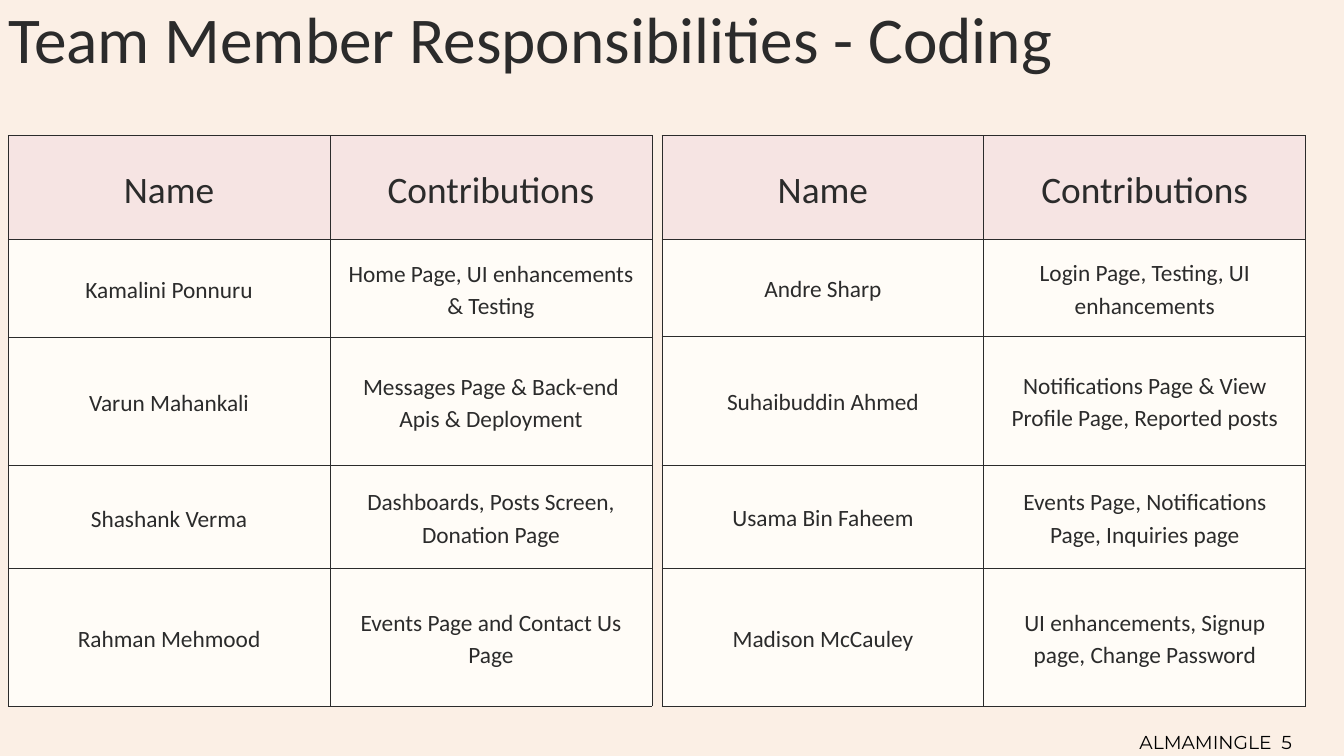
from lxml import etree
from pptx import Presentation
from pptx.dml.color import RGBColor
from pptx.enum.text import MSO_ANCHOR, PP_ALIGN
from pptx.oxml.ns import qn
from pptx.util import Inches, Pt

CENTER, LEFT = PP_ALIGN.CENTER, PP_ALIGN.LEFT
TOP, MIDDLE = MSO_ANCHOR.TOP, MSO_ANCHOR.MIDDLE

INK = RGBColor(0x2B, 0x2B, 0x2B)
BLACK = RGBColor(0, 0, 0)
CREAM = RGBColor(0xFB, 0xEF, 0xE5)
PINK = RGBColor(0xF6, 0xE4, 0xE3)
IVORY = RGBColor(0xFF, 0xFC, 0xF7)

TITLE = {"name": "Calibri", "size": Pt(70), "bold": False}
HEADER = {"name": "Calibri", "size": Pt(40), "bold": False}
BODY = {"name": "Calibri", "size": Pt(25), "bold": False}
FOOTER = {"name": "Montserrat", "size": Pt(20), "bold": False}

TABLE_TOP, COLUMN_WIDTH = 2.02, 4.79
HEADINGS = ("Name", "Contributions")
LEFT_TEAM = [
    ("Kamalini Ponnuru", "Home Page, UI enhancements & Testing"),
    ("Varun Mahankali", "Messages Page & Back-end Apis & Deployment"),
    ("Shashank Verma", "Dashboards, Posts Screen, Donation Page"),
    ("Rahman Mehmood", "Events Page and Contact Us Page"),
]
RIGHT_TEAM = [
    ("Andre Sharp", "Login Page, Testing, UI enhancements"),
    ("Suhaibuddin Ahmed",
     "Notifications Page & View Profile Page, Reported posts"),
    ("Usama Bin Faheem", "Events Page, Notifications Page, Inquiries page"),
    ("Madison McCauley", "UI enhancements, Signup page, Change Password"),
]


def write(frame, text, style, color, spacing, align):
    """Put one formatted paragraph in a text frame."""
    para = frame.paragraphs[0]
    para.alignment = align
    para.line_spacing = Pt(spacing)
    span = para.add_run()
    span.text = text
    for name, value in style.items():
        setattr(span.font, name, value)
    span.font.color.rgb = color


def set_margins(target, inches):
    for side in ("left", "right", "top", "bottom"):
        setattr(target, f"margin_{side}", Inches(inches))


def add_borders(cell):
    properties = cell._tc.get_or_add_tcPr()
    for side in ("lnL", "lnR", "lnT", "lnB"):
        line = etree.SubElement(properties, qn(f"a:{side}"), w=str(Pt(0.75)))
        fill = etree.SubElement(line, qn("a:solidFill"))
        etree.SubElement(fill, qn("a:srgbClr"), val=str(INK))


def add_team_table(page, left, heights, members):
    rows = [HEADINGS, *members]
    table = page.shapes.add_table(
        len(rows), len(HEADINGS), Inches(left), Inches(TABLE_TOP),
        Inches(COLUMN_WIDTH * len(HEADINGS)), Inches(sum(heights))).table
    table.first_row = table.horz_banding = False
    for column in table.columns:
        column.width = Inches(COLUMN_WIDTH)
    for index, (height, texts) in enumerate(zip(heights, rows)):
        table.rows[index].height = Inches(height)
        style, spacing, color = (BODY, 35, IVORY) if index else (HEADER, 56, PINK)
        for cell, text in zip(table.rows[index].cells, texts):
            set_margins(cell, 0.21)
            cell.vertical_anchor = MIDDLE
            add_borders(cell)
            cell.fill.solid()
            cell.fill.fore_color.rgb = color
            write(cell.text_frame, text, style, INK, spacing, CENTER)


def add_footer(page, left, width, text):
    box = page.shapes.add_textbox(
        Inches(left), Inches(10.93), Inches(width), Inches(0.3))
    frame = box.text_frame
    frame.word_wrap = True
    set_margins(frame, 0)
    write(frame, text, FOOTER, BLACK, 20, CENTER)


def set_title(page, text):
    title = page.shapes.title
    title.left, title.top = Inches(0.12), Inches(-0.03)
    title.width, title.height = Inches(18.29), Inches(1.39)
    frame = title.text_frame
    frame.word_wrap = True
    frame.vertical_anchor = TOP
    set_margins(frame, 0)
    write(frame, text, TITLE, INK, 84, LEFT)


def main():
    deck = Presentation()
    deck.slide_width, deck.slide_height = Inches(20), Inches(11.25)
    page = deck.slides.add_slide(deck.slide_layouts.get_by_name("Title Only"))
    page.background.fill.solid()
    page.background.fill.fore_color.rgb = CREAM

    # Title
    set_title(page, "Team Member Responsibilities - Coding")

    # Two halves of the team
    add_team_table(page, 0.12, (1.54, 1.46, 1.91, 1.53, 2.05), LEFT_TEAM)
    add_team_table(page, 9.85, (1.54, 1.44, 1.92, 1.54, 2.05), RIGHT_TEAM)

    # Project name and page number
    add_footer(page, 16.33, 2.08, "ALMA")
    add_footer(page, 17.41, 2.19, "MINGLE\u00a0 5".replace("\u00a0", " "))

    deck.save("out.pptx")


if __name__ == "__main__":
    main()
